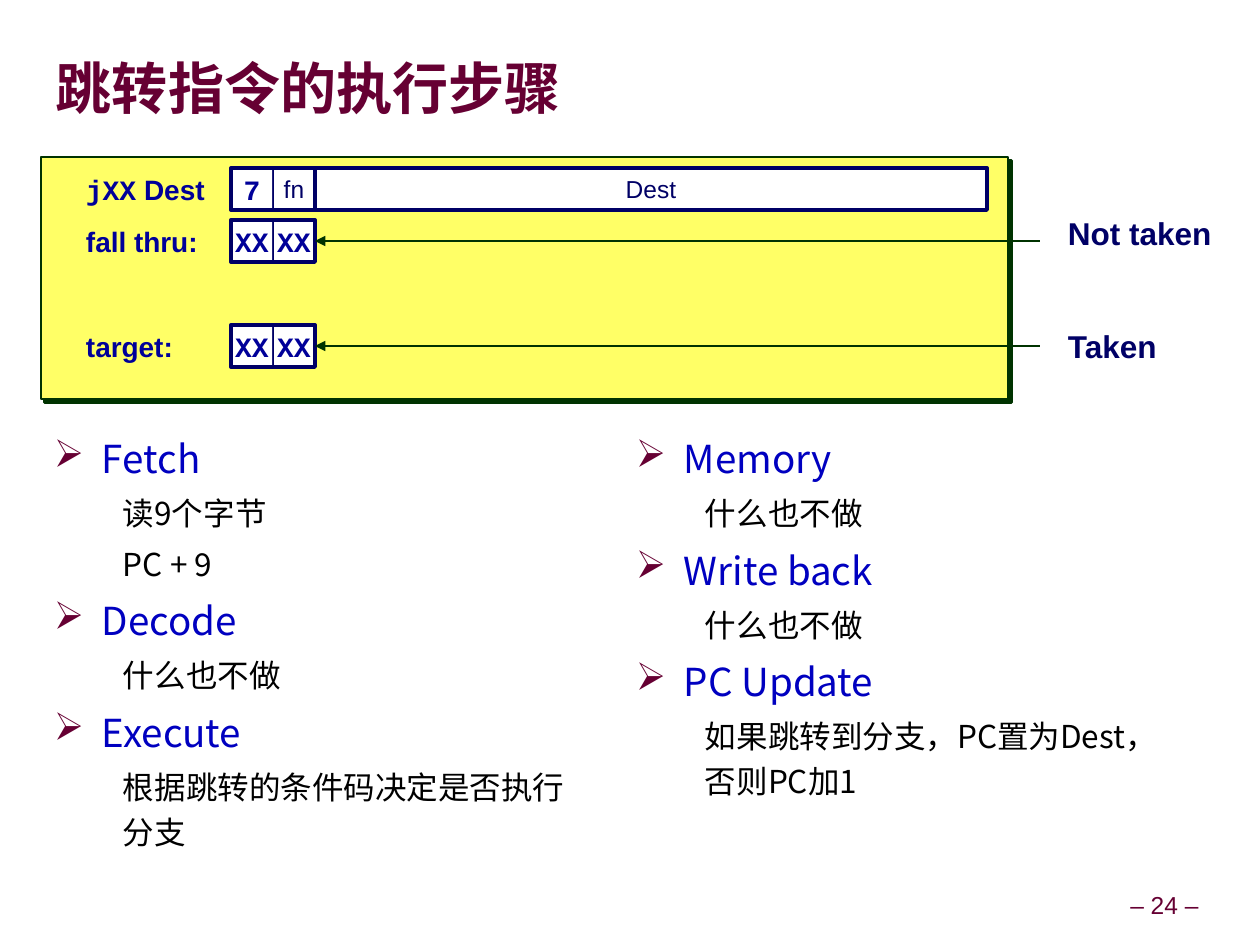
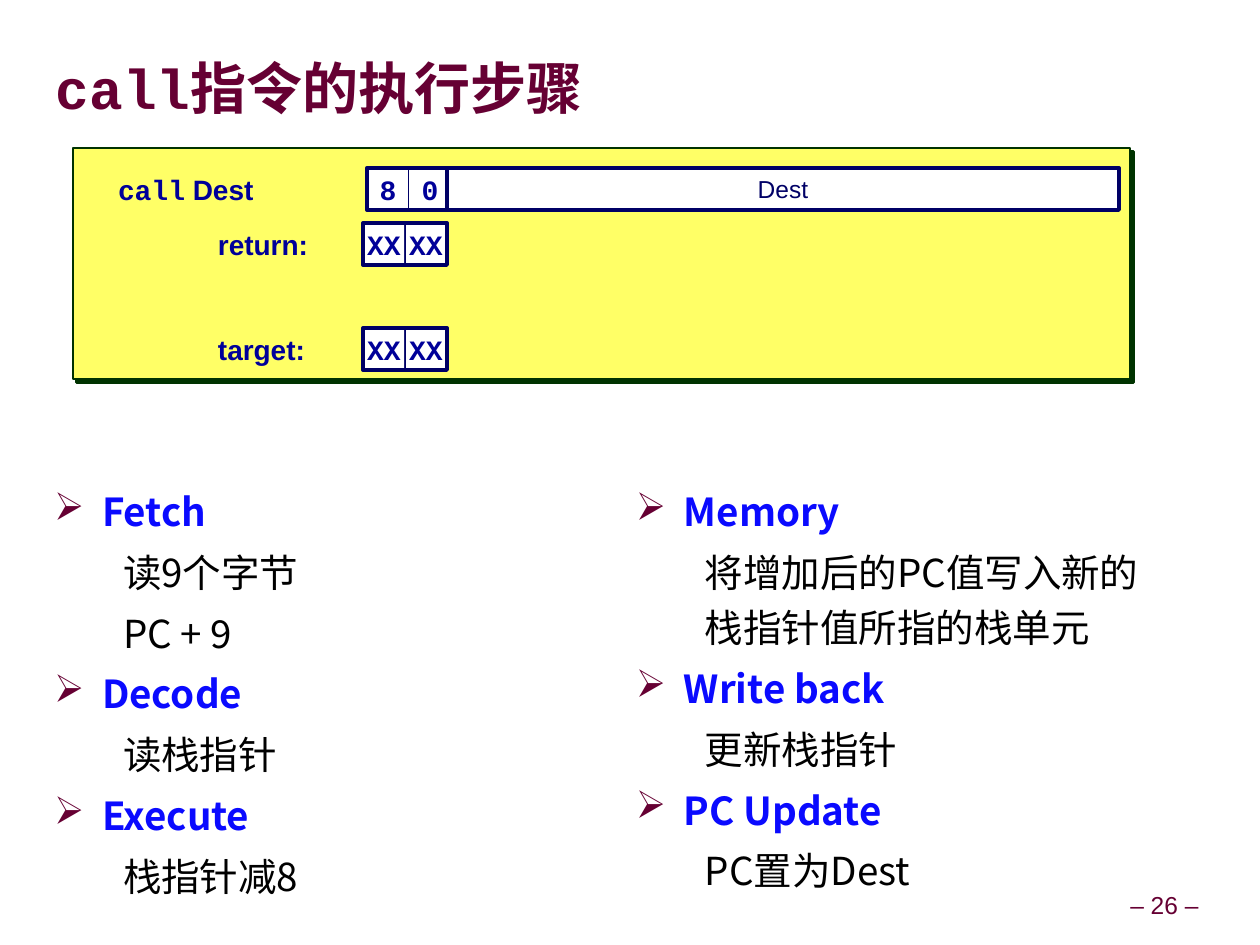
from lxml import etree
from pptx import Presentation
from pptx.dml.color import RGBColor
from pptx.enum.shapes import MSO_CONNECTOR, MSO_SHAPE
from pptx.enum.text import MSO_ANCHOR, PP_ALIGN
from pptx.oxml.ns import qn
from pptx.util import Emu, Pt

RECT = MSO_SHAPE.RECTANGLE
LINE = MSO_CONNECTOR.STRAIGHT
MIDDLE, TOP = MSO_ANCHOR.MIDDLE, MSO_ANCHOR.TOP
LEFT, CENTER = PP_ALIGN.LEFT, PP_ALIGN.CENTER

WINE = RGBColor(0x66, 0x00, 0x33)
NAVY = RGBColor(0x00, 0x00, 0x66)
INK = RGBColor(0x00, 0x00, 0x99)
BLUE = RGBColor(0x00, 0x00, 0xC0)
BRIGHT = RGBColor(0x0A, 0x0A, 0xFF)
GREEN = RGBColor(0x00, 0x33, 0x00)
YELLOW = RGBColor(0xFF, 0xFF, 0x66)
WHITE = RGBColor(0xFF, 0xFF, 0xFF)
BLACK = RGBColor(0x00, 0x00, 0x00)

SANS, MONO, HAN = "Arial", "Courier New", "Noto Sans CJK SC"
SCALE = 914400 / 126.1
CELL = 42       # side of one byte cell
DEST = 672      # width of the Dest field


def px(n):
    return Emu(round(n * SCALE))


def node(parent, tag, **attrs):
    """Append one DrawingML element."""
    item = etree.SubElement(parent, qn(tag))
    for key, value in attrs.items():
        item.set(key, str(value))
    return item


# Text

def style(run, size, font, color, bold=False):
    run.font.size = Pt(size)
    run.font.name = font
    run.font.bold = bold
    run.font.color.rgb = color
    node(run.font._element, "a:ea", typeface=HAN)


def setup(frame, anchor=MIDDLE, wrap=True, inset=(0, 0)):
    frame.word_wrap = wrap
    frame.vertical_anchor = anchor
    frame.margin_left = frame.margin_right = px(inset[0])
    frame.margin_top = frame.margin_bottom = px(inset[1])


def text(slide, box, parts, size, color, bold=False, align=LEFT,
         space=1.0, **frame):
    """One line of text; parts are (words, font) pairs."""
    shape = slide.shapes.add_textbox(*map(px, box))
    setup(shape.text_frame, **frame)
    para = shape.text_frame.paragraphs[0]
    para.alignment = align
    para.line_spacing = space
    for words, font in parts:
        run = para.add_run()
        run.text = words
        style(run, size, font, color, bold)


def label(slide, x, y, *parts):
    text(slide, (x, y, 200, CELL), parts, 16, INK, True, inset=(13, 6))


def note(slide, x, y, words):
    text(slide, (x, y, 156, 47), [(words, SANS)], 18, NAVY, True,
         space=0.9, anchor=TOP, wrap=False, inset=(6, 6))


def steps(slide, x, y, wide, items, size, color, bold):
    """A column of bulleted stages, each with plain lines below it."""
    shape = slide.shapes.add_textbox(*map(px, (x, y, wide, 888 - y)))
    frame = shape.text_frame
    setup(frame, TOP, inset=(13, 6))
    lines = []
    for stage, *acts in items:
        lines.append((stage, True))
        lines += [(act, False) for act in acts]
    for i, (words, head) in enumerate(lines):
        para = frame.add_paragraph() if i else frame.paragraphs[0]
        para.text = words
        para.line_spacing = 1.2
        para.space_before = Pt(3)
        props = para._p.get_or_add_pPr()
        props.set("marL", str(px(48 if head else 69)))
        props.set("indent", str(px(-48 if head else 0)))
        if head:
            node(node(props, "a:buClr"), "a:srgbClr", val=WINE)
            node(props, "a:buChar", char="➢")
            style(para.runs[0], 22, HAN, color, bold)
        else:
            node(props, "a:buNone")
            style(para.runs[0], size, HAN, BLACK)


# Shapes

def rect(slide, box, fill, line, width):
    shape = slide.shapes.add_shape(RECT, *map(px, box))
    shape.shadow.inherit = False
    if fill is None:
        shape.fill.background()
    else:
        shape.fill.solid()
        shape.fill.fore_color.rgb = fill
    shape.line.color.rgb = line
    shape.line.width = Pt(width)
    return shape


def panel(slide, box):
    shape = rect(slide, box, YELLOW, GREEN, 1.5)
    effects = shape._element.spPr.find(qn("a:effectLst"))
    shade = node(effects, "a:outerShdw", dist=Pt(2.8), dir=2700000,
                 algn="ctr", rotWithShape=0)
    node(shade, "a:srgbClr", val=GREEN)


def field(slide, box, words, line, plain):
    """A white box with centred words."""
    shape = rect(slide, box, WHITE, NAVY, line)
    setup(shape.text_frame, wrap=False)
    para = shape.text_frame.paragraphs[0]
    para.text = words
    para.alignment = CENTER
    if plain:
        style(para.runs[0], 14, SANS, NAVY)
    else:
        style(para.runs[0], 16, MONO, INK, True)


def pair(slide, x, y, *words):
    """Two cells of one byte inside a heavy frame."""
    for i, word in enumerate(words):
        field(slide, (x + i * CELL, y, CELL, CELL), word, 0.5, word == "fn")
    rect(slide, (x, y, 2 * CELL, CELL), None, NAVY, 2.25)


def dest(slide, x, y):
    field(slide, (x, y, DEST, CELL), "Dest", 2.25, True)


def arrow(slide, start, end, y):
    link = slide.shapes.add_connector(LINE, *map(px, (start, y, end, y)))
    link.line.color.rgb = GREEN
    link.line.width = Pt(1.5)
    node(link.line._get_or_add_ln(), "a:tailEnd", type="triangle")
    node(link._element.spPr, "a:effectLst")


# Slides

def page(deck, number, *title):
    slide = deck.slides.add_slide(deck.slide_layouts[6])
    text(slide, (1123, 887, 83, 39), [(f"– {number} –", SANS)], 14, WINE,
         align=CENTER, space=0.9, wrap=False, inset=(6, 6))
    text(slide, (56, 34, 1151, 107), title, 32, WINE, True)
    return slide


def jump(deck):
    slide = page(deck, 24, ("跳转指令的执行步骤", HAN))
    steps(slide, 41, 420, 561, [
        ("Fetch", "读9个字节", "PC + 9"),
        ("Decode", "什么也不做"),
        ("Execute", "根据跳转的条件码决定是否执行分支"),
    ], 18, BLUE, False)
    steps(slide, 623, 420, 561, [
        ("Memory", "什么也不做"),
        ("Write back", "什么也不做"),
        ("PC Update", "如果跳转到分支，PC置为Dest，否则PC加1"),
    ], 18, BLUE, False)

    # Instruction layout
    panel(slide, (41, 157, 967, 242))
    label(slide, 73, 168, ("jXX", MONO), (" Dest", SANS))
    pair(slide, 231, 168, "7", "fn")
    dest(slide, 315, 168)

    # Both ways on
    for y, name, way, top in ((220, "fall thru:", "Not taken", 212),
                              (325, "target:", "Taken", 325)):
        label(slide, 73, y, (name, SANS))
        pair(slide, 231, y, "XX", "XX")
        arrow(slide, 1040, 315, y + CELL // 2)
        note(slide, 1062, top, way)


def call(deck):
    slide = page(deck, 26, ("call指令的执行步骤", MONO))
    steps(slide, 41, 473, 579, [
        ("Fetch", "读9个字节", "PC + 9"),
        ("Decode", "读栈指针"),
        ("Execute", "栈指针减8"),
    ], 22, BRIGHT, True)
    steps(slide, 623, 473, 561, [
        ("Memory", "将增加后的PC值写入新的栈指针值所指的栈单元"),
        ("Write back", "更新栈指针"),
        ("PC Update", "PC置为Dest"),
    ], 22, BRIGHT, True)

    # Instruction layout
    panel(slide, (73, 148, 1057, 231))
    label(slide, 105, 168, ("call", MONO), (" Dest", SANS))
    pair(slide, 367, 168, "8", "0")
    dest(slide, 447, 168)

    # Places in the code
    for y, name in ((223, "return:"), (328, "target:")):
        label(slide, 205, y, (name, SANS))
        pair(slide, 363, y, "XX", "XX")


def main():
    deck = Presentation()
    deck.slide_width, deck.slide_height = px(1260), px(945)
    jump(deck)
    call(deck)
    deck.save("out.pptx")


main()
